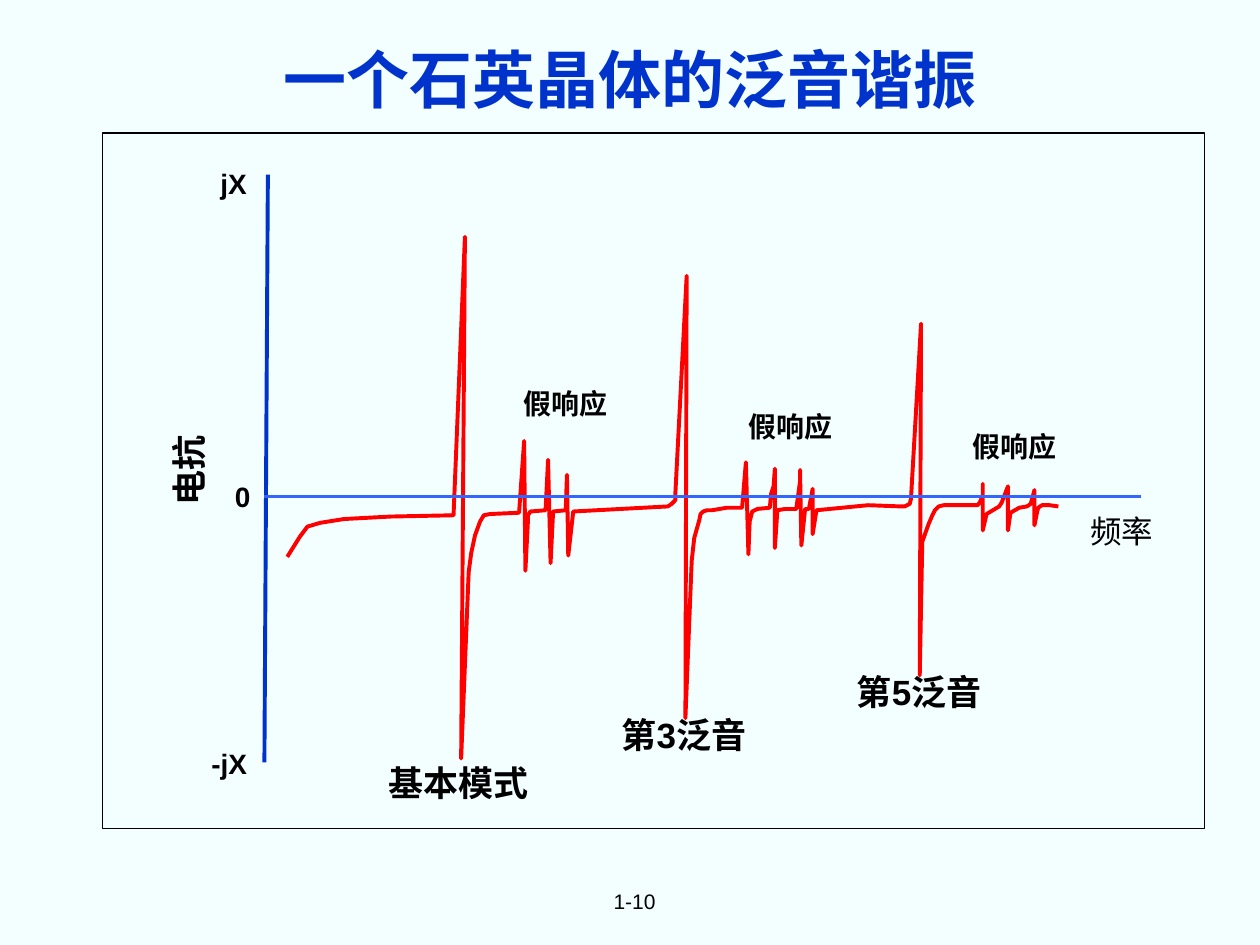
from dataclasses import dataclass

from pptx import Presentation
from pptx.dml.color import RGBColor
from pptx.enum.shapes import MSO_CONNECTOR, MSO_SHAPE
from pptx.enum.text import MSO_ANCHOR, MSO_AUTO_SIZE, PP_ALIGN
from pptx.oxml.ns import qn
from pptx.util import Cm, Pt
from lxml import etree

LINE = MSO_CONNECTOR.STRAIGHT
RECT = MSO_SHAPE.RECTANGLE
MID = MSO_ANCHOR.MIDDLE
MID_TEXT, LEFT_TEXT = PP_ALIGN.CENTER, PP_ALIGN.LEFT
FIT = MSO_AUTO_SIZE.SHAPE_TO_FIT_TEXT
NO_FIT = MSO_AUTO_SIZE.NONE


@dataclass(frozen=True)
class Theme:
    font: str = "Arial"
    back: str = "F3FEFF"
    ink: str = "000000"
    blue: str = "0033CC"
    zero: str = "3366FF"
    curve: str = "FF0000"
    title: int = 36
    mode: int = 20
    freq: int = 18
    small: int = 16
    page: int = 12


THEME = Theme()

# Curve points on a grid with a step of 0.0254 cm
STEP = Cm(0.0254)
CURVE = [
    # rise to the fundamental mode
    (228, 442), (238, 426), (244, 418), (254, 415), (273, 412), (310, 410),
    (360, 409), (369, 188), (366, 602), (372, 454), (374, 439), (377, 425),
    (381, 414), (384, 409), (389, 408), (412, 407),
    # its spurious responses
    (416, 350), (417, 453), (419, 414), (419, 409), (421, 406), (433, 405),
    (435, 365), (437, 447), (439, 406), (449, 405), (450, 377), (451, 441),
    (455, 406),
    # third overtone
    (530, 402), (533, 400), (536, 397), (536, 392), (545, 219), (544, 570),
    (549, 445), (551, 427), (555, 413), (556, 408), (558, 406), (561, 405),
    (565, 405), (577, 403), (589, 403),
    # its spurious responses
    (592, 367), (594, 440), (595, 414), (597, 406), (601, 404), (611, 403),
    (612, 392), (614, 386), (615, 372), (615, 435), (617, 405), (623, 404),
    (632, 404), (635, 382), (635, 373), (636, 433), (639, 404), (642, 404),
    (645, 388), (645, 424), (648, 405),
    # fifth overtone
    (689, 401), (715, 402), (718, 402), (722, 400), (723, 396), (731, 257),
    (730, 536), (732, 430), (737, 416), (740, 409), (742, 405), (745, 402),
    (749, 401), (762, 401), (776, 401),
    # its spurious responses
    (778, 398), (780, 393), (780, 384), (780, 421), (783, 408), (793, 402),
    (795, 399), (800, 386), (800, 421), (802, 407), (809, 403), (815, 402),
    (818, 400), (821, 389), (821, 417), (823, 407), (824, 403), (827, 401),
    (833, 401), (840, 402),
]

# Text, centre x, centre y, width, size, bold, turn
LABELS = [
    ("0", 4.89, 10, 1, THEME.small, True, 0),
    ("jX", 4.71, 3.7, 1.3, THEME.small, True, 0),
    ("-jX", 4.62, 15.38, 1.5, THEME.small, True, 0),
    ("电抗", 3.8, 9.48, 2.2, THEME.mode, True, 269.8),
    ("基本模式", 9.25, 15.77, 3.6, THEME.mode, True, 0),
    ("第3泛音", 13.79, 14.81, 3.6, THEME.mode, True, 0),
    ("第5泛音", 18.53, 13.94, 3.6, THEME.mode, True, 0),
    ("频率", 22.61, 10.7, 2, THEME.freq, False, 0),
    ("假响应", 11.4, 8.14, 2.5, THEME.small, True, 0),
    ("假响应", 15.94, 8.6, 2.5, THEME.small, True, 0),
    ("假响应", 20.45, 9, 2.5, THEME.small, True, 0),
]


def style(par, size, color, bold, align):
    par.alignment = align
    font = par.font
    font.name, font.size, font.bold = THEME.font, Pt(size), bold
    font.color.rgb = RGBColor.from_string(color)


def stroke(line, color, width):
    line.color.rgb = RGBColor.from_string(color)
    line.width = Pt(width)


def add_title(slide, text):
    title = slide.shapes.title
    title.left, title.top, title.width, title.height = 0, 0, Cm(25.4), Cm(3.17)
    frame = title.text_frame
    frame.text = text
    frame.vertical_anchor, frame.auto_size = MID, NO_FIT
    style(frame.paragraphs[0], THEME.title, THEME.blue, True, MID_TEXT)


def add_label(slide, text, x, y, width, size, bold, turn=0,
              pad=True, align=MID_TEXT):
    # One line of text plus the inner margins
    height = size * 0.0425 + (0.26 if pad else 0)
    box = slide.shapes.add_textbox(Cm(x - width / 2), Cm(y - height / 2),
                                   Cm(width), Cm(height))
    box.rotation = turn
    frame = box.text_frame
    frame.text = text
    frame.word_wrap, frame.auto_size = False, FIT
    frame.vertical_anchor = MID
    if not pad:
        frame.margin_left = frame.margin_right = 0
        frame.margin_top = frame.margin_bottom = 0
    style(frame.paragraphs[0], size, THEME.ink, bold, align)


def add_axis(slide, x1, y1, x2, y2, color, width):
    axis = slide.shapes.add_connector(LINE, Cm(x1), Cm(y1), Cm(x2), Cm(y2))
    stroke(axis.line, color, width)
    etree.SubElement(axis._element.spPr, qn("a:effectLst"))


def add_curve(slide, points, color, width):
    path = slide.shapes.build_freeform(*points[0], scale=STEP)
    path.add_line_segments(points[1:], close=False)
    curve = path.convert_to_shape()
    curve.shadow.inherit = False
    curve.fill.background()
    stroke(curve.line, color, width)


def add_frame(slide, x, y, width, height):
    frame = slide.shapes.add_shape(RECT, Cm(x), Cm(y), Cm(width), Cm(height))
    frame.shadow.inherit = False
    frame.fill.background()
    stroke(frame.line, THEME.ink, 0.75)


def main():
    deck = Presentation()
    deck.slide_width, deck.slide_height = Cm(25.4), Cm(19.05)
    slide = deck.slides.add_slide(deck.slide_layouts[5])
    fill = slide.background.fill
    fill.solid()
    fill.fore_color.rgb = RGBColor.from_string(THEME.back)

    # Title and frame
    add_title(slide, "一个石英晶体的泛音谐振")
    add_frame(slide, 2.07, 2.68, 22.22, 14.02)

    # Reactance curve between its axes
    add_axis(slide, 5.4, 3.52, 5.33, 15.37, THEME.blue, 2.25)
    add_curve(slide, CURVE, THEME.curve, 2.25)
    add_axis(slide, 5.33, 10.01, 23.01, 10.01, THEME.zero, 2)

    # Labels and page number
    for label in LABELS:
        add_label(slide, *label)
    add_label(slide, "1-10", 12.87, 18.16, 1, THEME.page, False,
              pad=False, align=LEFT_TEXT)

    deck.save("out.pptx")


if __name__ == "__main__":
    main()
